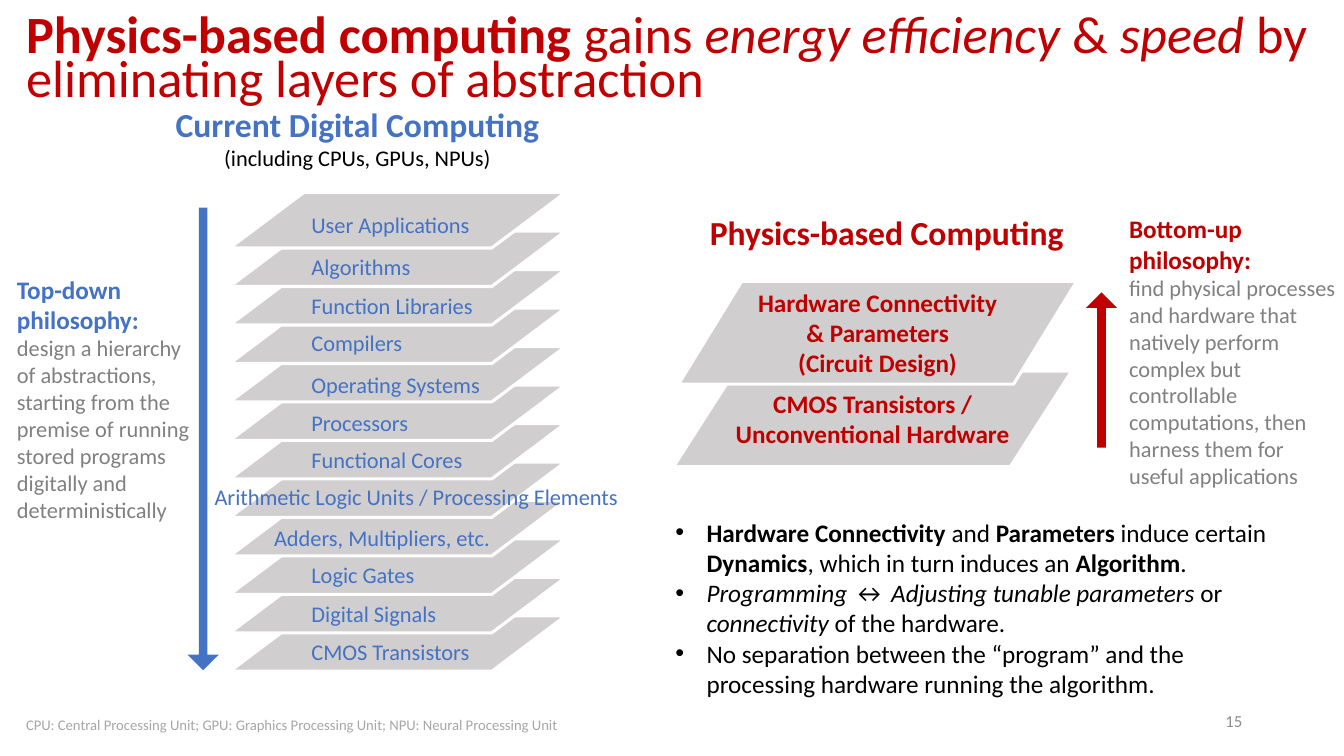
from dataclasses import dataclass
from typing import NamedTuple

from lxml import etree
from pptx import Presentation
from pptx.dml.color import RGBColor
from pptx.enum.shapes import MSO_SHAPE as Shape
from pptx.enum.text import MSO_ANCHOR as Anchor, MSO_AUTO_SIZE as AutoSize, PP_ALIGN as Align
from pptx.oxml.ns import qn
from pptx.util import Inches, Pt

BLUE, RED, GRAY, BLACK = "4472C4", "C00000", "808080", "000000"
SLAB, WHITE = "D0CECE", "FFFFFF"


class Run(NamedTuple):
    text: str
    size: float = 18
    color: str = BLACK
    bold: bool = False
    italic: bool = False


class Box(NamedTuple):
    left: float
    top: float
    width: float
    height: float


@dataclass
class Text:
    box: Box
    paras: list[list[Run]]
    align: Align = Align.LEFT
    wrap: bool = True
    grow: bool = True
    bullet: bool = False
    spacing: float | None = None


@dataclass
class Slab:
    box: Box
    skew: float
    text: str = ""
    inset: float = 0.1


@dataclass
class Arrow:
    box: Box
    color: str
    rotation: float = 0


class Label(NamedTuple):
    text: str
    top: float
    width: float
    left: float = 2.99


def rgb(color: str) -> RGBColor:
    return RGBColor.from_string(color)


def add_runs(p, runs: list[Run]) -> None:
    for run in runs:
        for i, part in enumerate(run.text.split("\n")):
            if i:
                p.add_line_break()
            if not part:
                continue
            r = p.add_run()
            r.text = part
            r.font.name = "Calibri"
            r.font.size = Pt(run.size)
            r.font.bold = run.bold
            r.font.italic = run.italic
            r.font.color.rgb = rgb(run.color)


def add_bullet(p) -> None:
    pPr = p._p.get_or_add_pPr()
    pPr.set("marL", str(Inches(0.31)))
    pPr.set("indent", str(-Inches(0.31)))
    etree.SubElement(pPr, qn("a:buFont"), typeface="Arial")
    etree.SubElement(pPr, qn("a:buChar"), char="•")


def add_text(s, text: Text) -> None:
    tf = s.shapes.add_textbox(*map(Inches, text.box)).text_frame
    tf.word_wrap = text.wrap
    tf.auto_size = AutoSize.SHAPE_TO_FIT_TEXT if text.grow else AutoSize.NONE
    tf.vertical_anchor = Anchor.TOP if text.grow else Anchor.MIDDLE
    for i, runs in enumerate(text.paras):
        p = tf.add_paragraph() if i else tf.paragraphs[0]
        p.alignment = text.align
        if text.spacing:
            p.line_spacing = text.spacing
        if text.bullet:
            add_bullet(p)
        add_runs(p, runs)


def add_slab(s, slab: Slab) -> None:
    sp = s.shapes.add_shape(Shape.PARALLELOGRAM, *map(Inches, slab.box))
    sp.shadow.inherit = False
    sp.adjustments[0] = slab.skew
    sp.fill.solid()
    sp.fill.fore_color.rgb = rgb(SLAB)
    sp.line.color.rgb = rgb(WHITE)
    sp.line.width = Pt(2.25)
    if slab.text:
        tf = sp.text_frame
        tf.word_wrap = True
        tf.vertical_anchor = Anchor.MIDDLE
        tf.margin_left = tf.margin_right = Inches(slab.inset)
        tf.paragraphs[0].alignment = Align.CENTER
        add_runs(tf.paragraphs[0], [Run(slab.text, 18, RED, True)])


def add_arrow(s, arrow: Arrow) -> None:
    sp = s.shapes.add_shape(Shape.DOWN_ARROW, *map(Inches, arrow.box))
    sp.shadow.inherit = False
    sp.adjustments[0] = 0.28
    sp.adjustments[1] = 0.5
    sp.rotation = arrow.rotation
    sp.fill.solid()
    sp.fill.fore_color.rgb = rgb(arrow.color)
    sp.line.fill.background()


LAYERS = [
    Label("User Applications", 2.05, 1.79),
    Label("Algorithms", 2.46, 1.19),
    Label("Function Libraries", 2.85, 1.82),
    Label("Compilers", 3.22, 1.11),
    Label("Operating Systems", 3.63, 1.9),
    Label("Processors", 4.01, 1.18),
    Label("Functional Cores", 4.38, 1.72),
    Label("Arithmetic Logic Units / Processing Elements", 4.74, 4.25, 2.03),
    Label("Adders, Multipliers, etc.", 5.15, 2.37, 2.62),
    Label("Logic Gates", 5.52, 1.24),
    Label("Digital Signals", 5.9, 1.45),
    Label("CMOS Transistors", 6.28, 1.79),
]
STACK_TOP, STACK_BOTTOM = 1.91, 6.11
PITCH = (STACK_BOTTOM - STACK_TOP) / (len(LAYERS) - 1)

SLABS = [Slab(Box(2.28, STACK_TOP + PITCH * i, 3.33, 0.55), 1.331)
         for i in reversed(range(len(LAYERS)))]
SLABS += [
    Slab(Box(6.68, 3.68, 3.95, 0.95), 0.641, "CMOS Transistors / Unconventional Hardware", 0),
    Slab(Box(6.73, 2.79, 3.95, 1.02), 0.614,
         "Hardware Connectivity & Parameters\n(Circuit Design)"),
]

ARROWS = [
    Arrow(Box(1.86, 2.06, 0.31, 4.59), BLUE),
    Arrow(Box(10.77, 2.9, 0.31, 1.54), RED, 180),
]

TEXTS = [Text(Box(n.left, n.top, n.width, 0.37), [[Run(n.text, 16, BLUE)]], wrap=False)
         for n in LAYERS]
TEXTS += [
    Text(Box(0.16, 0.1, 13.04, 1.04), [[
        Run("Physics-based computing ", 37.4, RED, True),
        Run("gains ", 37.4, RED),
        Run("energy efficiency", 37.4, RED, italic=True),
        Run(" & ", 37.4, RED),
        Run("speed", 37.4, RED, italic=True),
        Run(" by eliminating layers of abstraction", 37.4, RED),
    ]], grow=False, spacing=0.7),
    Text(Box(1.5, 0.98, 4.09, 0.77), [
        [Run("Current Digital Computing", 24, BLUE, True)],
        [Run("(including CPUs, GPUs, NPUs)", 16)],
    ], Align.CENTER),
    Text(Box(6.92, 2.05, 3.75, 0.5), [[Run("Physics-based Computing", 24, RED, True)]],
         Align.CENTER, wrap=False),
    Text(Box(0.07, 2.67, 1.97, 2.59), [[
        Run("Top-down philosophy: ", 18, BLUE, True),
        Run("design a hierarchy of abstractions, starting from the premise of running "
            "stored programs digitally and deterministically", 16, GRAY),
    ]]),
    Text(Box(11.1, 2.07, 2.28, 2.86), [[
        Run("Bottom-up philosophy: \n", 18, RED, True),
        Run("find physical processes and hardware that natively perform complex but "
            "controllable computations, then harness them for useful applications", 16, GRAY),
    ]]),
    Text(Box(6.6, 5.08, 6.36, 1.92), [
        [Run("Hardware Connectivity", bold=True), Run(" and "), Run("Parameters", bold=True),
         Run(" induce certain "), Run("Dynamics", bold=True),
         Run(", which in turn induces an "), Run("Algorithm", bold=True), Run(".")],
        [Run("Programming", italic=True), Run(" ↔ "),
         Run("Adjusting tunable parameters", italic=True), Run(" or "),
         Run("connectivity", italic=True), Run(" of the hardware.")],
        [Run("No separation between the “program” and the processing hardware "
             "running the algorithm.")],
    ], bullet=True),
    Text(Box(0.16, 7.05, 5.89, 0.28), [[
        Run("CPU: Central Processing Unit; GPU: Graphics Processing Unit; "
            "NPU: Neural Processing Unit", 10.5, "A6A6A6")]]),
    Text(Box(9.42, 6.95, 3, 0.4), [[Run("15", 12, "8C8C8C")]], Align.RIGHT, grow=False),
]


def main() -> None:
    prs = Presentation()
    prs.slide_width, prs.slide_height = Inches(13.33), Inches(7.5)
    s = prs.slides.add_slide(prs.slide_layouts[6])
    for slab in SLABS:
        add_slab(s, slab)
    for arrow in ARROWS:
        add_arrow(s, arrow)
    for text in TEXTS:
        add_text(s, text)
    prs.save("out.pptx")


if __name__ == "__main__":
    main()
